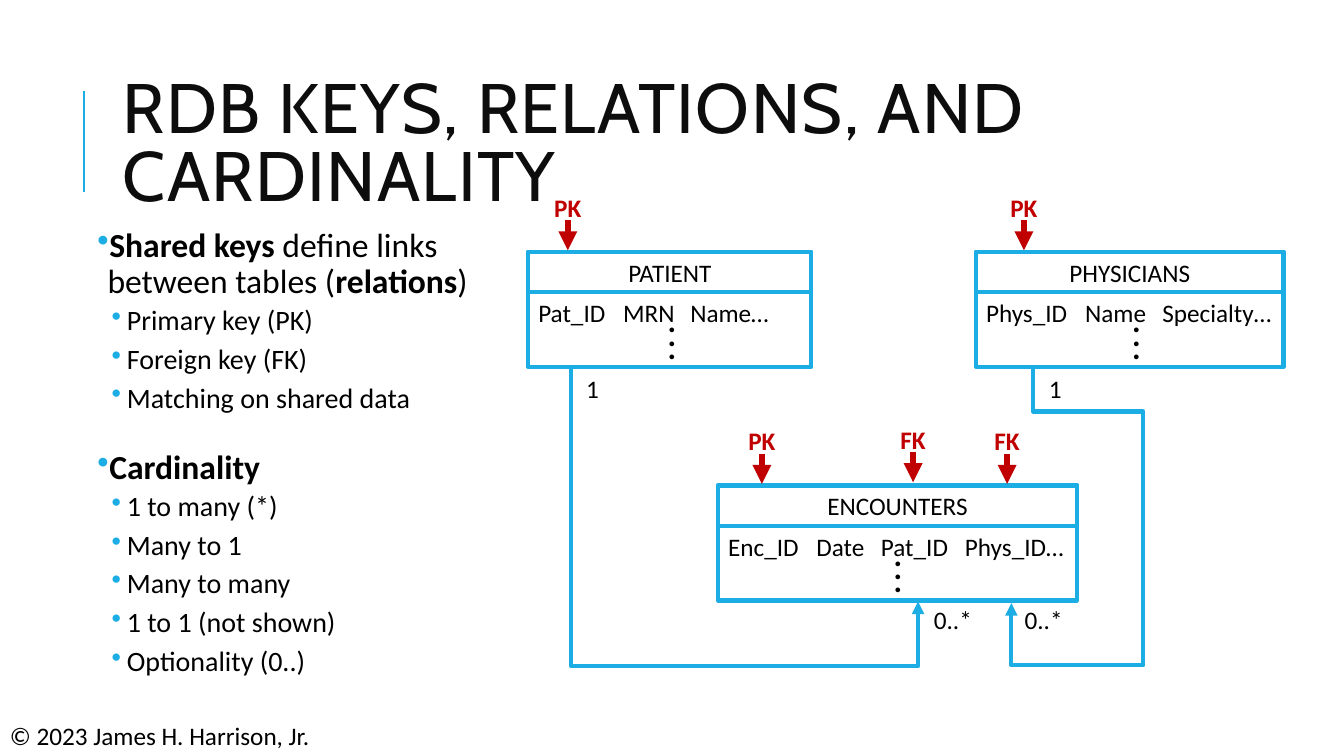
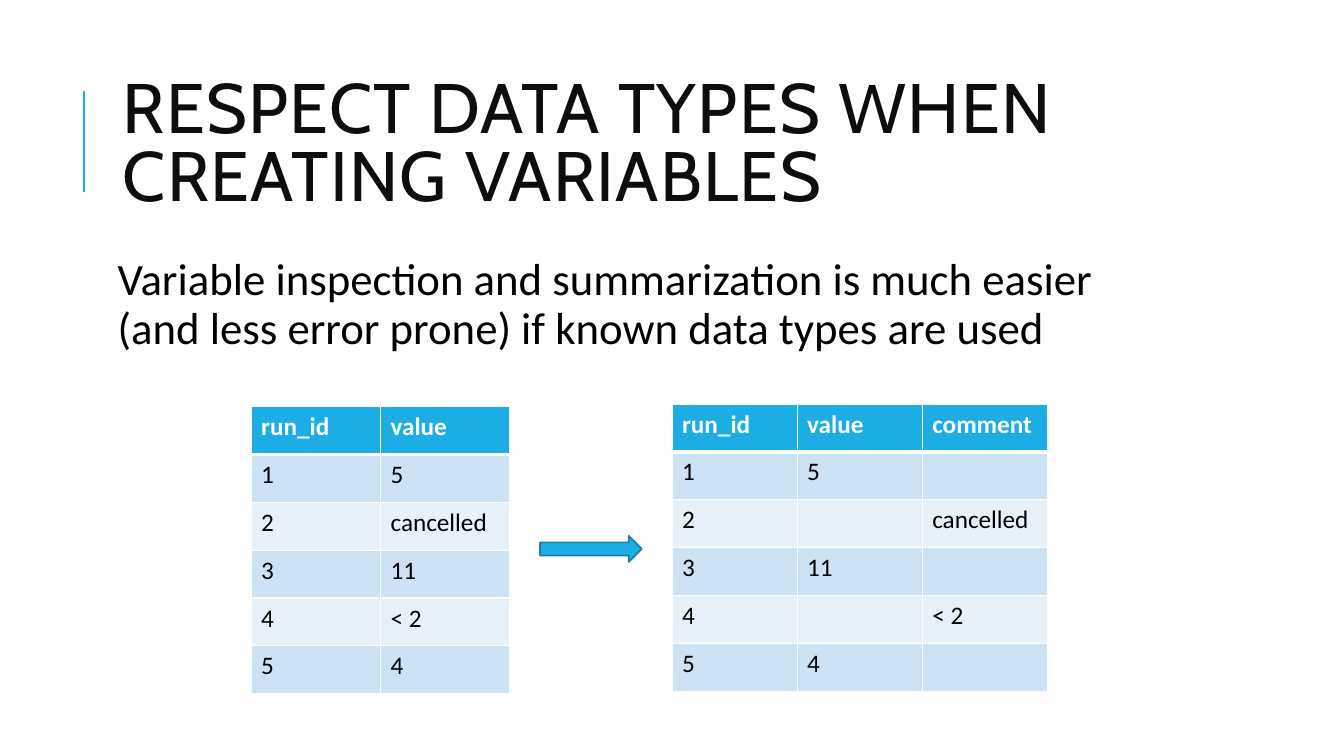
"""Build two slides on relational keys and on data types."""
from dataclasses import dataclass

from lxml import etree
from pptx import Presentation
from pptx.dml.color import RGBColor
from pptx.enum.shapes import MSO_CONNECTOR, MSO_SHAPE
from pptx.enum.text import MSO_ANCHOR, MSO_AUTO_SIZE, PP_ALIGN
from pptx.oxml.ns import qn
from pptx.util import Emu, Pt

STRAIGHT = MSO_CONNECTOR.STRAIGHT
RECTANGLE, RIGHT_ARROW = MSO_SHAPE.RECTANGLE, MSO_SHAPE.RIGHT_ARROW
TOP, MIDDLE = MSO_ANCHOR.TOP, MSO_ANCHOR.MIDDLE
LEFT, CENTER = PP_ALIGN.LEFT, PP_ALIGN.CENTER
NO_FIT = MSO_AUTO_SIZE.NONE

COLORS = {
    "accent": "1CADE4", "accent_dark": "1580A9", "title": "0D0D0D", "text": "000000",
    "key": "C00000", "white": "FFFFFF", "band_dark": "CDE3F5", "band_light": "E8F1FA",
}
TITLE_FONT, BODY_FONT = "Cabin", "Calibri"
GRID_COLUMNS, GRID_ROWS, CELL = 16, 9, 762000
TITLE_ONLY = 5
HEADER_HEIGHT, ENTITY_HEIGHT = 0.48, 1.37
BODY_INSET = 0.06


@dataclass(frozen=True)
class Box:
    """A rectangle in grid cells."""
    left: float
    top: float
    width: float
    height: float

    def lengths(self) -> tuple[Emu, ...]:
        return tuple(cells(value) for value in (self.left, self.top, self.width, self.height))


@dataclass(frozen=True)
class Key:
    label: str
    x: float
    lift: float = 0


@dataclass(frozen=True)
class Entity:
    name: str
    left: float
    top: float
    width: float
    fields: tuple[str, ...]
    tabs: tuple[float, ...]
    dots_x: float
    keys: tuple[Key, ...]


@dataclass(frozen=True)
class Level:
    """Paragraph format of one outline level, in points and grid cells."""
    size: int
    margin: float
    hanging: float
    before: float
    after: float


@dataclass(frozen=True)
class DataTable:
    left: float
    top: float
    column_width: float
    rows: tuple[tuple[str, ...], ...]


HEADING = Level(24, 0.12, 0.12, 22, 2)
ITEM = Level(20, 0.35, 0.18, 2, 4)
OUTLINE = (
    (HEADING, (("Shared keys", True), (" define links between tables (", False),
               ("relations", True), (")", False))),
    (ITEM, (("Primary key (PK)", False),)),
    (ITEM, (("Foreign key (FK)", False),)),
    (ITEM, (("Matching on shared data", False),)),
    (HEADING, (("Cardinality", True),)),
    (ITEM, (("1 to many (*)", False),)),
    (ITEM, (("Many to 1", False),)),
    (ITEM, (("Many to many", False),)),
    (ITEM, (("1 to 1 (not shown)", False),)),
    (ITEM, (("Optionality (0..)", False),)),
)
ENTITIES = (
    Entity("PATIENT", 6.29, 3, 3.37, ("Pat_ID", "MRN", "Name…"), (1.01, 1.81), 8,
           (Key("PK", 6.76),)),
    Entity("PHYSICIANS", 11.62, 3, 3.66, ("Phys_ID", "Name", "Specialty…"), (1.18, 2.1), 13.53,
           (Key("PK", 12.19),)),
    Entity("ENCOUNTERS", 8.55, 5.78, 4.27, ("Enc_ID", "Date", "Pat_ID", "Phys_ID…"),
           (1.05, 1.82, 2.82), 10.69,
           (Key("PK", 9.07), Key("FK", 10.87, 0.02), Key("FK", 11.99))),
)
RELATIONS = (
    ((6.8, 4.38), (6.8, 7.93), (10.93, 7.93), (10.93, 7.16)),
    ((12.3, 4.37), (12.3, 4.9), (13.61, 4.9), (13.61, 7.92), (12.04, 7.92), (12.04, 7.18)),
)
CARDINALITIES = (("1", 6.86, 4.38), ("1", 12.37, 4.38), ("0..*", 11, 7.14), ("0..*", 12.08, 7.14))
TABLES = (
    DataTable(2.99, 4.84, 1.54, (
        ("run_id", "value"), ("1", "5"), ("2", "cancelled"),
        ("3", "11"), ("4", "< 2"), ("5", "4"))),
    DataTable(8, 4.81, 1.49, (
        ("run_id", "value", "comment"), ("1", "5", ""), ("2", "", "cancelled"),
        ("3", "11", ""), ("4", "", "< 2"), ("5", "4", ""))),
)
TABLE_ROW_HEIGHT = 0.57


def cells(count: float) -> Emu:
    return Emu(round(count * CELL))


def color(name: str) -> RGBColor:
    return RGBColor.from_string(COLORS[name])


def set_font(paragraph, size: float, color_name: str = "text", bold: bool = False,
             name: str = BODY_FONT) -> None:
    font = paragraph.font
    font.name, font.size, font.bold = name, Pt(size), bold
    font.color.rgb = color(color_name)


def set_line(shape, color_name: str, width: float, arrow: bool = False) -> None:
    shape.line.color.rgb = color(color_name)
    shape.line.width = Pt(width)
    if arrow:
        outline = shape._element.spPr.find(qn("a:ln"))
        etree.SubElement(outline, qn("a:tailEnd"), type="triangle")


def add_line(slide, start: tuple[float, float], end: tuple[float, float],
             color_name: str, width: float, arrow: bool = False) -> None:
    points = [cells(value) for value in (*start, *end)]
    line = slide.shapes.add_connector(STRAIGHT, *points)
    set_line(line, color_name, width, arrow)
    etree.SubElement(line._element.spPr, qn("a:effectLst"))


def add_shape(slide, kind, box: Box, line_name: str, width: float, fill_name: str = ""):
    shape = slide.shapes.add_shape(kind, *box.lengths())
    shape.shadow.inherit = False
    if fill_name:
        shape.fill.solid()
        shape.fill.fore_color.rgb = color(fill_name)
    else:
        shape.fill.background()
    set_line(shape, line_name, width)
    return shape


def add_frame(slide, box: Box, inset: float | None = None):
    frame = slide.shapes.add_textbox(*box.lengths()).text_frame
    frame.word_wrap = True
    if inset is not None:
        frame.margin_left = frame.margin_right = cells(inset)
        frame.margin_top = frame.margin_bottom = cells(inset)
    return frame


def add_label(slide, text: str, box: Box, alignment=LEFT, size: float = 18,
              color_name: str = "text", bold: bool = False) -> None:
    frame = add_frame(slide, box)
    frame.text = text
    for paragraph in frame.paragraphs:
        paragraph.alignment = alignment
        set_font(paragraph, size, color_name, bold)


def add_titled_slide(presentation, text: str):
    slide = presentation.slides.add_slide(presentation.slide_layouts[TITLE_ONLY])
    title = slide.shapes.title
    title.left, title.top, title.width, title.height = Box(1.34, 0.77, 12.76, 1.97).lengths()
    frame = title.text_frame
    frame.text = text
    frame.word_wrap, frame.auto_size, frame.vertical_anchor = True, NO_FIT, MIDDLE
    paragraph = frame.paragraphs[0]
    paragraph.alignment, paragraph.line_spacing = LEFT, 0.8
    set_font(paragraph, 50, "title", name=TITLE_FONT)
    paragraph._p.pPr.find(qn("a:defRPr")).set("spc", "100")
    add_line(slide, (1, 2.28), (1, 1.08), "accent", 1.5)
    return slide


def add_outline(slide) -> None:
    frame = add_frame(slide, Box(1.1, 2.66, 4.98, 5.86), BODY_INSET)
    for index, (level, runs) in enumerate(OUTLINE):
        paragraph = frame.add_paragraph() if index else frame.paragraphs[0]
        paragraph.line_spacing = 0.9
        if index:
            paragraph.space_before = Pt(level.before)
        paragraph.space_after = Pt(level.after)
        properties = paragraph._p.get_or_add_pPr()
        properties.set("marL", str(cells(level.margin)))
        properties.set("indent", str(-cells(level.hanging)))
        bullet_color = etree.SubElement(properties, qn("a:buClr"))
        etree.SubElement(bullet_color, qn("a:srgbClr"), val=COLORS["accent"])
        etree.SubElement(properties, qn("a:buChar"), char="•")
        set_font(paragraph, level.size)
        for text, bold in runs:
            run = paragraph.add_run()
            run.text, run.font.bold = text, bold


def add_key(slide, key: Key, entity_top: float) -> None:
    top = entity_top - key.lift
    add_label(slide, key.label, Box(key.x - 0.35, top - 0.77, 0.7, 0.48), CENTER,
              color_name="key", bold=True)
    add_line(slide, (key.x, top - 0.38), (key.x, top - 0.02), "key", 4.5, arrow=True)


def add_entity(slide, entity: Entity) -> None:
    body = add_shape(slide, RECTANGLE, Box(entity.left, entity.top, entity.width, ENTITY_HEIGHT),
                     "accent", 3)
    frame = body.text_frame
    frame.vertical_anchor = TOP
    frame.margin_top, frame.margin_right = cells(HEADER_HEIGHT + BODY_INSET), 0
    paragraph = frame.paragraphs[0]
    paragraph.alignment = LEFT
    tab_list = etree.SubElement(paragraph._p.get_or_add_pPr(), qn("a:tabLst"))
    for position in entity.tabs:
        etree.SubElement(tab_list, qn("a:tab"), pos=str(cells(position)), algn="l")
    set_font(paragraph, 18)
    paragraph.add_run().text = "\t".join(entity.fields)

    header = add_shape(slide, RECTANGLE, Box(entity.left, entity.top, entity.width, HEADER_HEIGHT),
                       "accent", 3)
    header.text_frame.text = entity.name
    header.text_frame.vertical_anchor = MIDDLE
    header.text_frame.paragraphs[0].alignment = CENTER
    set_font(header.text_frame.paragraphs[0], 18)

    add_label(slide, "\n".join("•" * 3), Box(entity.dots_x - 0.22, entity.top + 0.78, 0.44, 0.6),
              CENTER, 8, bold=True)
    for key in entity.keys:
        add_key(slide, key, entity.top)


def add_relation(slide, points: tuple[tuple[float, float], ...]) -> None:
    start, *corners = [(cells(x), cells(y)) for x, y in points]
    builder = slide.shapes.build_freeform(*start)
    builder.add_line_segments(corners, close=False)
    relation = builder.convert_to_shape()
    relation.shadow.inherit = False
    relation.fill.background()
    set_line(relation, "accent", 3, arrow=True)


def add_cell_borders(cell, row_index: int) -> None:
    properties = cell._tc.get_or_add_tcPr()
    for side in ("L", "R", "T", "B"):
        thick = (row_index, side) in ((0, "B"), (1, "T"))
        border = etree.SubElement(properties, qn(f"a:ln{side}"), w=str(Pt(3 if thick else 1)))
        fill = etree.SubElement(border, qn("a:solidFill"))
        etree.SubElement(fill, qn("a:srgbClr"), val=COLORS["white"])


def add_data_table(slide, data: DataTable) -> None:
    row_count, column_count = len(data.rows), len(data.rows[0])
    box = Box(data.left, data.top, data.column_width * column_count, TABLE_ROW_HEIGHT * row_count)
    table = slide.shapes.add_table(row_count, column_count, *box.lengths()).table
    for row_index, row in enumerate(data.rows):
        is_header = row_index == 0
        fill_name = "accent" if is_header else ("band_light", "band_dark")[row_index % 2]
        for column_index, text in enumerate(row):
            cell = table.cell(row_index, column_index)
            cell.text = text
            set_font(cell.text_frame.paragraphs[0], 18, "white" if is_header else "text", is_header)
            add_cell_borders(cell, row_index)
            cell.fill.solid()
            cell.fill.fore_color.rgb = color(fill_name)


def build_keys_slide(presentation) -> None:
    slide = add_titled_slide(presentation, "RDB KEYS, RELATIONS, AND CARDINALITY")
    add_outline(slide)
    for entity in ENTITIES:
        add_entity(slide, entity)
    for text, left, top in CARDINALITIES:
        add_label(slide, text, Box(left, top, 0.7, 0.47))
    for points in RELATIONS:
        add_relation(slide, points)
    add_label(slide, "© 2023 James H. Harrison, Jr.", Box(0, 8.52, 3.85, 0.48))


def build_types_slide(presentation) -> None:
    slide = add_titled_slide(presentation, "RESPECT DATA TYPES WHEN CREATING VARIABLES")
    frame = add_frame(slide, Box(1.34, 3, 12.76, 1.39), BODY_INSET)
    frame.text = ("Variable inspection and summarization is much easier "
                  "(and less error prone) if known data types are used")
    frame.paragraphs[0].line_spacing = 0.9
    set_font(frame.paragraphs[0], 32)
    for data in TABLES:
        add_data_table(slide, data)
    add_shape(slide, RIGHT_ARROW, Box(6.43, 6.38, 1.21, 0.31), "accent_dark", 1.25, "accent")


def main() -> None:
    presentation = Presentation()
    presentation.slide_width, presentation.slide_height = cells(GRID_COLUMNS), cells(GRID_ROWS)
    build_keys_slide(presentation)
    build_types_slide(presentation)
    presentation.save("out.pptx")


if __name__ == "__main__":
    main()
